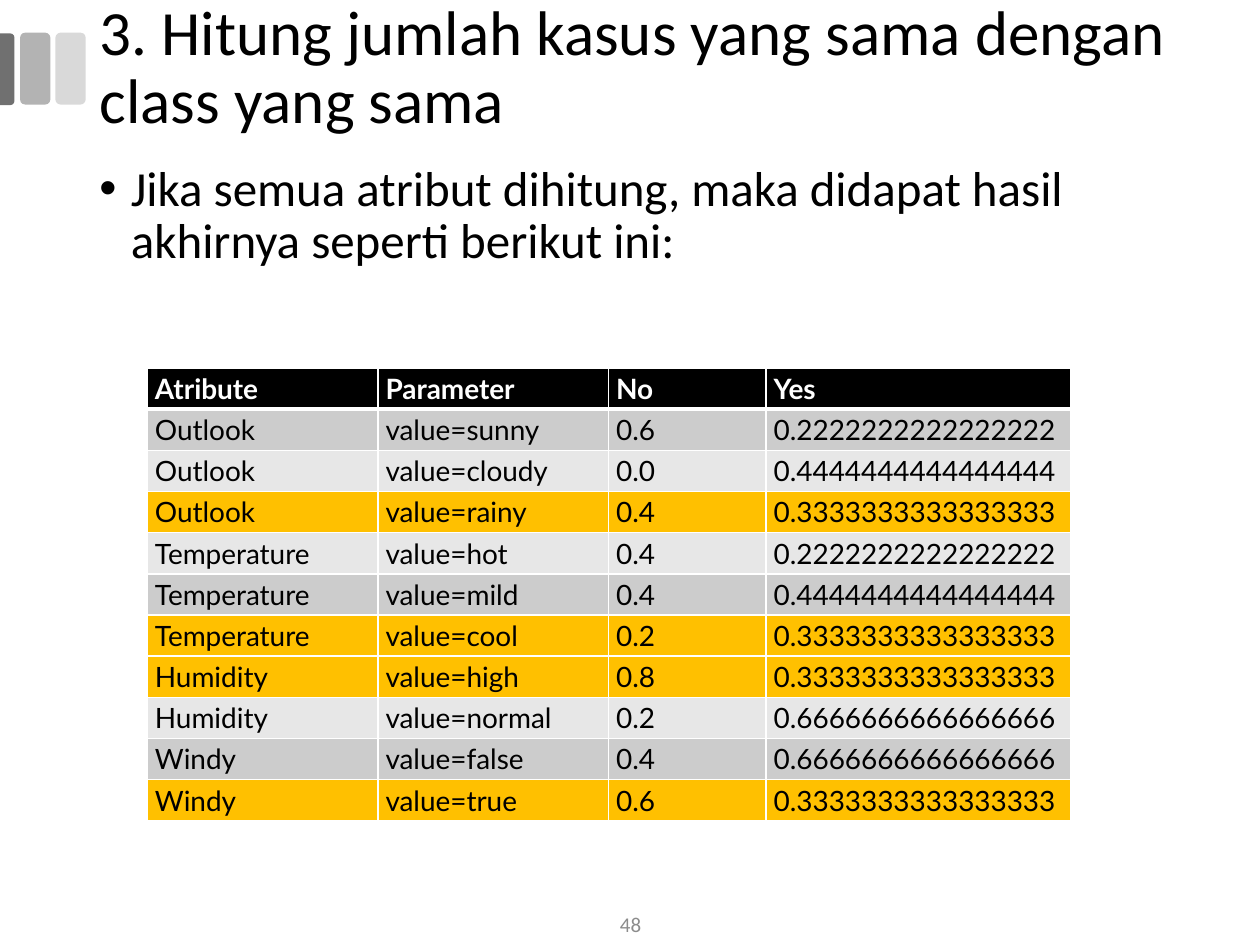
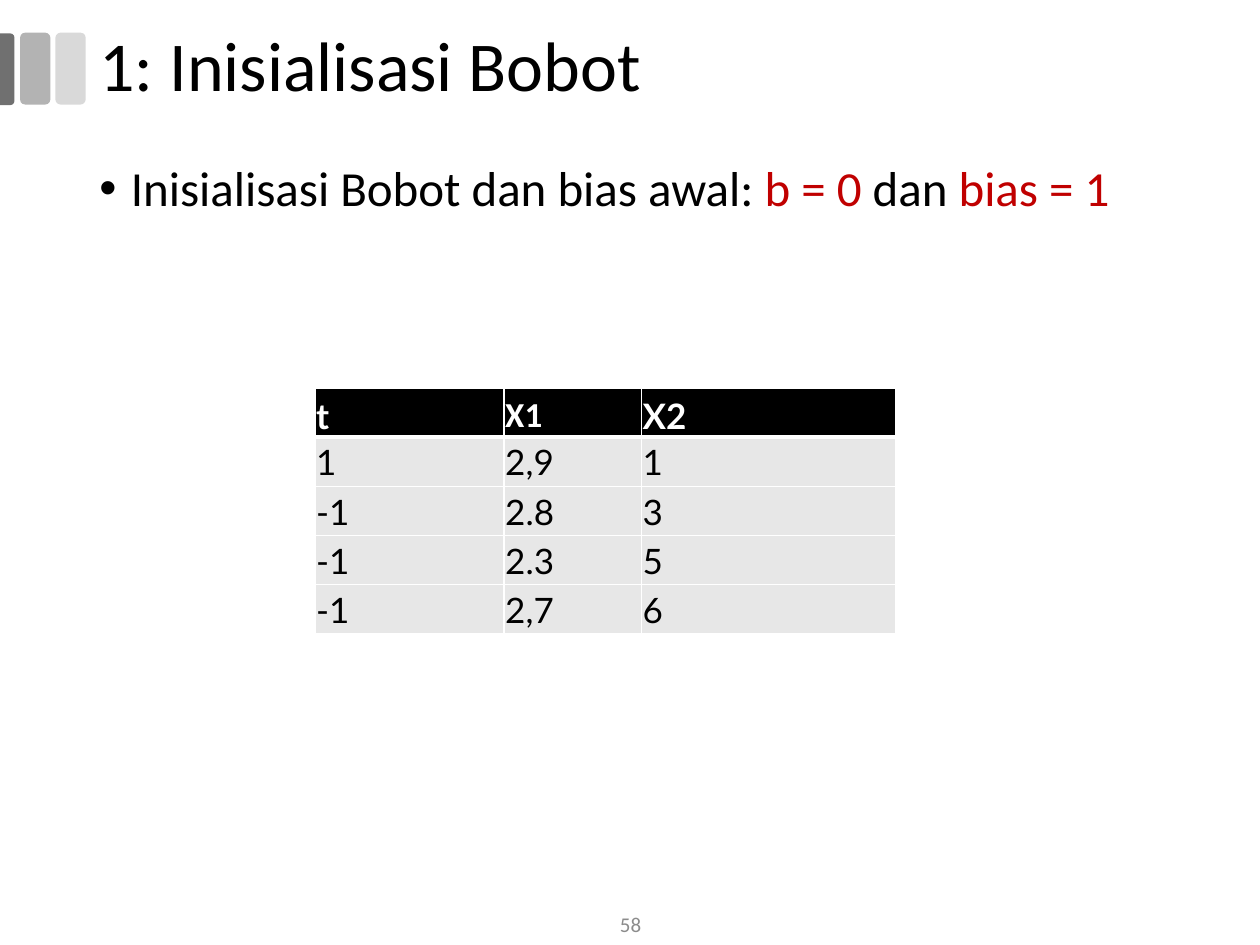
from dataclasses import dataclass

from lxml import etree
from pptx import Presentation
from pptx.dml.color import RGBColor
from pptx.enum import shapes, text
from pptx.oxml import ns
from pptx.util import Inches, Pt

# Shared colours and fonts
BLACK = RGBColor(0x00, 0x00, 0x00)
WHITE = RGBColor(0xFF, 0xFF, 0xFF)
RED = RGBColor(0xC0, 0x00, 0x00)
AMBER = RGBColor(0xFF, 0xC0, 0x00)
DARK_ROW = RGBColor(0xCC, 0xCC, 0xCC)
LIGHT_ROW = RGBColor(0xE7, 0xE7, 0xE7)
FOOTER_GREY = RGBColor(0x8C, 0x8C, 0x8C)
BODY_FONT = "Calibri"
TABLE_FONT = "Lato"
TITLE_ONLY = 5
ROUNDED = shapes.MSO_SHAPE.ROUNDED_RECTANGLE
HALF_ROUNDED = shapes.MSO_SHAPE.ROUND_2_SAME_RECTANGLE


@dataclass(frozen=True)
class Band:
    kind: shapes.MSO_SHAPE
    box: tuple[float, float, float, float]
    color: RGBColor
    rotation: int = 0
    adjustments: tuple[float, ...] = ()


@dataclass(frozen=True)
class Grid:
    left: float
    top: float
    widths: tuple[float, ...]
    row_height: float
    rows: tuple[tuple[str, ...], ...]
    row_fills: tuple[RGBColor, ...]
    size: int
    margins: tuple[float, float, float, float]
    header_anchor: text.MSO_ANCHOR
    header_fonts: tuple[str, ...]


@dataclass(frozen=True)
class Page:
    title: str
    title_size: int
    bullet: tuple[tuple[str, RGBColor], ...]
    number: int
    grid: Grid


BANDS = (
    Band(ROUNDED, (0.44, 0.26, 0.24, 0.57), RGBColor(0xD9, 0xD9, 0xD9)),
    Band(ROUNDED, (0.16, 0.26, 0.24, 0.57), RGBColor(0xB3, 0xB3, 0xB3)),
    Band(HALF_ROUNDED, (-0.23, 0.49, 0.57, 0.12), RGBColor(0x70, 0x70, 0x70),
         90, (0.29, 0)),
)

PROBABILITIES = Grid(
    left=1.17, top=2.92, widths=(1.83, 1.83, 1.25, 2.42), row_height=0.31,
    rows=(
        ("Atribute", "Parameter", "No", "Yes"),
        ("Outlook", "value=sunny", "0.6", "0.2222222222222222"),
        ("Outlook", "value=cloudy", "0.0", "0.4444444444444444"),
        ("Outlook", "value=rainy", "0.4", "0.3333333333333333"),
        ("Temperature", "value=hot", "0.4", "0.2222222222222222"),
        ("Temperature", "value=mild", "0.4", "0.4444444444444444"),
        ("Temperature", "value=cool", "0.2", "0.3333333333333333"),
        ("Humidity", "value=high", "0.8", "0.3333333333333333"),
        ("Humidity", "value=normal", "0.2", "0.6666666666666666"),
        ("Windy", "value=false", "0.4", "0.6666666666666666"),
        ("Windy", "value=true", "0.6", "0.3333333333333333"),
    ),
    row_fills=(BLACK, DARK_ROW, LIGHT_ROW, AMBER, LIGHT_ROW, DARK_ROW,
               AMBER, AMBER, LIGHT_ROW, DARK_ROW, AMBER),
    size=16, margins=(0.06, 0.03, 0.06, 0.03),
    header_anchor=text.MSO_ANCHOR.MIDDLE, header_fonts=(TABLE_FONT,) * 4,
)

TRAINING_DATA = Grid(
    left=2.5, top=3.08, widths=(1.5, 1.09, 2.02), row_height=0.39,
    rows=(
        ("t", "X1", "X2"),
        ("1", "2,9", "1"),
        ("-1", "2.8", "3"),
        ("-1", "2.3", "5"),
        ("-1", "2,7", "6"),
    ),
    row_fills=(BLACK,) + (LIGHT_ROW,) * 4,
    size=20, margins=(0.01, 0.01, 0.01, 0),
    header_anchor=text.MSO_ANCHOR.BOTTOM,
    header_fonts=(TABLE_FONT, BODY_FONT, TABLE_FONT),
)

PAGES = (
    Page("3. Hitung jumlah kasus yang sama dengan class yang sama", 36,
         (("Jika semua atribut dihitung, maka didapat hasil akhirnya "
           "seperti berikut ini:", BLACK),), 48, PROBABILITIES),
    Page("1: Inisialisasi Bobot", 40,
         (("Inisialisasi Bobot dan bias awal: ", BLACK), ("b = 0 ", RED),
          ("dan ", BLACK), ("bias = 1", RED)), 58, TRAINING_DATA),
)


def set_values(target, values: dict) -> None:
    for name, value in values.items():
        setattr(target, name, value)


def add_run(paragraph, words: str, size: int, color: RGBColor,
            font: str = BODY_FONT, bold: bool = False) -> None:
    run = paragraph.add_run()
    run.text = words
    set_values(run.font, {"name": font, "size": Pt(size), "bold": bold})
    run.font.color.rgb = color


def add_bands(slide) -> None:
    for band in BANDS:
        shape = slide.shapes.add_shape(band.kind, *map(Inches, band.box))
        shape.shadow.inherit = False
        shape.fill.solid()
        shape.fill.fore_color.rgb = band.color
        shape.line.fill.background()
        shape.rotation = band.rotation
        for index, amount in enumerate(band.adjustments):
            shape.adjustments[index] = amount


def format_title(slide, page: Page) -> None:
    title = slide.shapes.title
    set_values(title, {"left": Inches(0.69), "top": Inches(0.17),
                       "width": Inches(9.3), "height": Inches(0.75)})
    set_values(title.text_frame, {
        "word_wrap": True, "auto_size": text.MSO_AUTO_SIZE.NONE,
        "vertical_anchor": text.MSO_ANCHOR.MIDDLE})
    paragraph = title.text_frame.paragraphs[0]
    set_values(paragraph, {"alignment": text.PP_ALIGN.LEFT, "line_spacing": 0.9})
    add_run(paragraph, page.title, page.title_size, BLACK)


def add_bullet(slide, page: Page) -> None:
    box = slide.shapes.add_textbox(Inches(0.69), Inches(1.25),
                                   Inches(8.62), Inches(5.83))
    box.text_frame.word_wrap = True
    paragraph = box.text_frame.paragraphs[0]
    paragraph.line_spacing = 0.9
    properties = paragraph._p.get_or_add_pPr()
    properties.set("marL", str(Inches(0.25)))
    properties.set("indent", str(-Inches(0.25)))
    etree.SubElement(properties, ns.qn("a:buFont"), typeface="Arial")
    etree.SubElement(properties, ns.qn("a:buChar"), char="•")
    for words, color in page.bullet:
        add_run(paragraph, words, 28, color)


def add_page_number(slide, number: int) -> None:
    box = slide.shapes.add_textbox(Inches(3.88), Inches(7.17),
                                   Inches(2.25), Inches(0.33))
    set_values(box.text_frame, {"word_wrap": True,
                                "vertical_anchor": text.MSO_ANCHOR.MIDDLE})
    paragraph = box.text_frame.paragraphs[0]
    paragraph.alignment = text.PP_ALIGN.CENTER
    add_run(paragraph, str(number), 12, FOOTER_GREY)


def set_borders(cell, row_index: int) -> None:
    """White rules, with a thicker one under the header."""
    widths = {"lnL": 1, "lnR": 1, "lnT": 3 if row_index == 1 else 1,
              "lnB": 3 if row_index == 0 else 1}
    properties = cell._tc.get_or_add_tcPr()
    for position, (tag, width) in enumerate(widths.items()):
        line = etree.Element(ns.qn(f"a:{tag}"), w=str(Pt(width)))
        fill = etree.SubElement(line, ns.qn("a:solidFill"))
        etree.SubElement(fill, ns.qn("a:srgbClr"), val=str(WHITE))
        properties.insert(position, line)


def add_grid(slide, grid: Grid) -> None:
    row_count, column_count = len(grid.rows), len(grid.widths)
    table = slide.shapes.add_table(
        row_count, column_count, Inches(grid.left), Inches(grid.top),
        Inches(sum(grid.widths)), Inches(grid.row_height * row_count)).table
    for column, width in zip(table.columns, grid.widths):
        column.width = Inches(width)
    sides = ("margin_left", "margin_top", "margin_right", "margin_bottom")
    margins = dict(zip(sides, map(Inches, grid.margins)))
    for row_index, (row, fill) in enumerate(zip(grid.rows, grid.row_fills)):
        table.rows[row_index].height = Inches(grid.row_height)
        header = row_index == 0
        anchor = grid.header_anchor if header else text.MSO_ANCHOR.MIDDLE
        for column_index, words in enumerate(row):
            cell = table.cell(row_index, column_index)
            set_values(cell, {**margins, "vertical_anchor": anchor})
            cell.fill.solid()
            cell.fill.fore_color.rgb = fill
            set_borders(cell, row_index)
            font = grid.header_fonts[column_index] if header else TABLE_FONT
            add_run(cell.text_frame.paragraphs[0], words, grid.size,
                    WHITE if header else BLACK, font, header)


def main() -> None:
    presentation = Presentation()
    set_values(presentation, {"slide_width": Inches(10),
                              "slide_height": Inches(7.5)})
    for page in PAGES:
        slide = presentation.slides.add_slide(
            presentation.slide_layouts[TITLE_ONLY])
        add_bands(slide)
        format_title(slide, page)
        add_bullet(slide, page)
        add_page_number(slide, page.number)
        add_grid(slide, page.grid)
    presentation.save("out.pptx")


if __name__ == "__main__":
    main()
